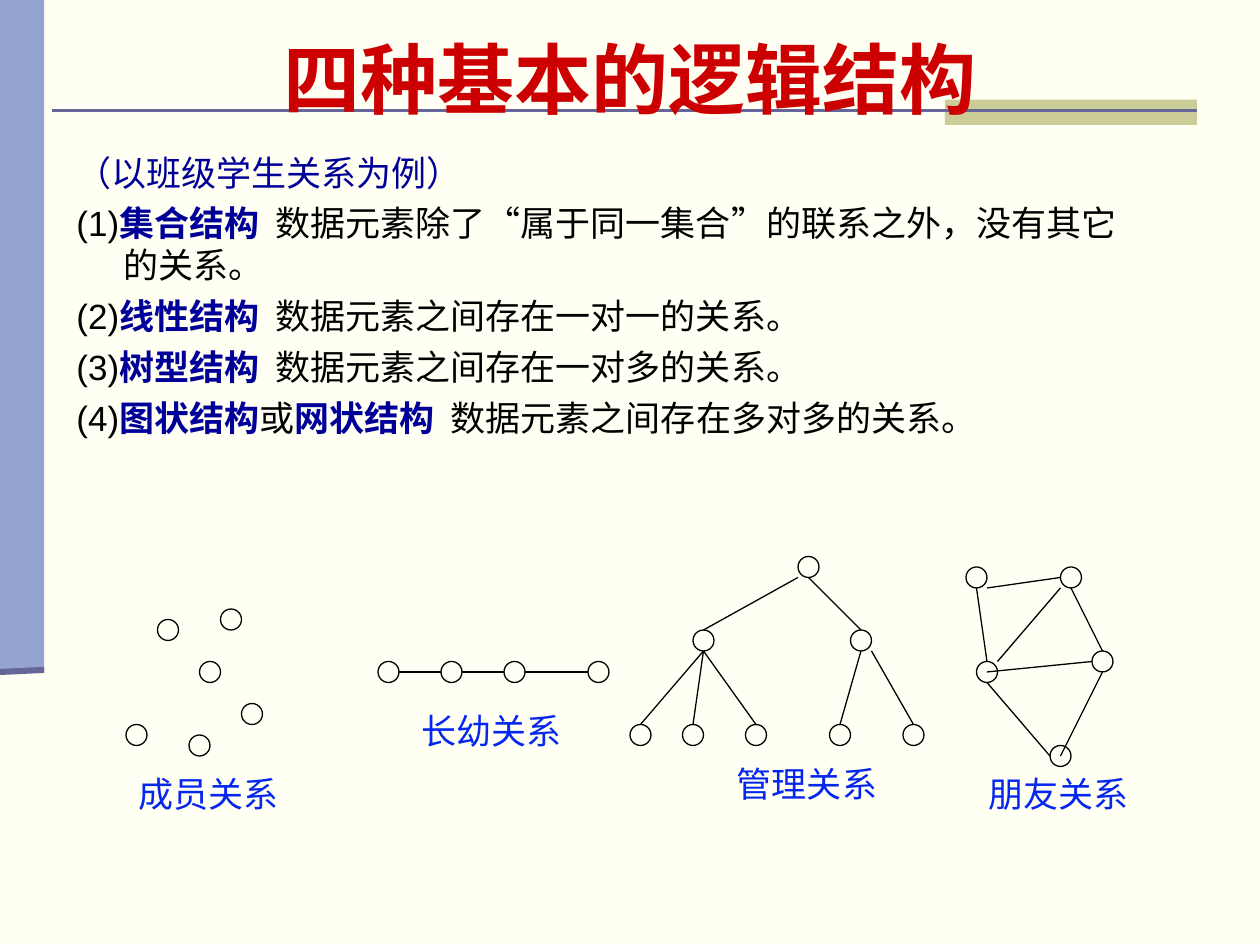
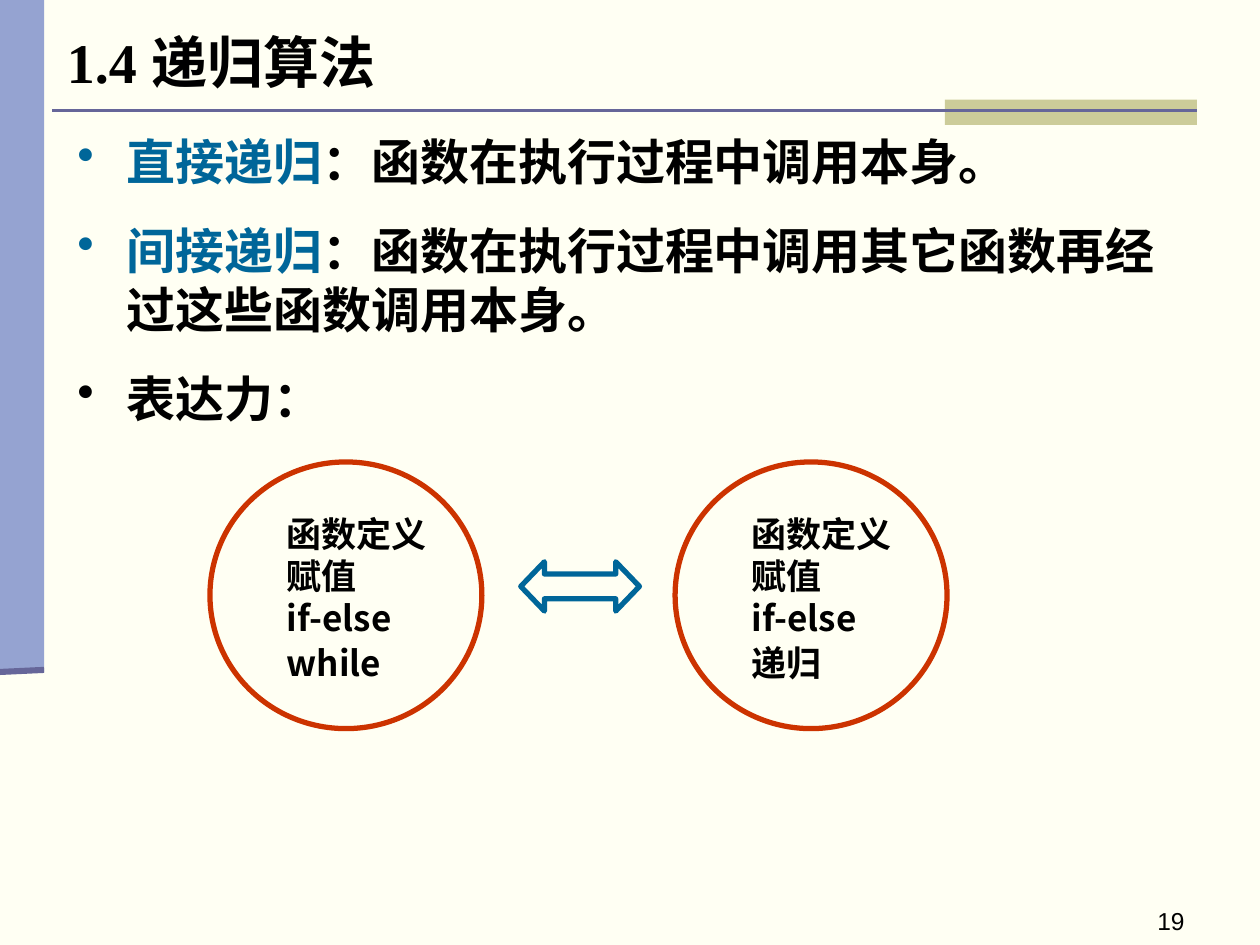
from dataclasses import dataclass

from lxml import etree
from pptx import Presentation
from pptx import util as u
from pptx.dml.color import RGBColor
from pptx.enum import shapes, text
from pptx.oxml.ns import qn

PX = 7620  # 120 px to the inch


@dataclass(frozen=True)
class Theme:
    paper: str = "FFFFF3"
    band: str = "95A3D1"
    rule: str = "666699"
    tab: str = "CCCC99"
    ink: str = "000000"
    red: str = "CC0000"
    navy: str = "000099"
    blue: str = "0526EF"
    teal: str = "006699"
    rust: str = "CC3300"
    sans: str = "Arial"
    serif: str = "Times New Roman"
    asian: str = "Noto Sans CJK SC"
    small: int = 14
    base: int = 20
    large: int = 28
    head: int = 32
    huge: int = 44


T = Theme()

# Spots on a node, measured from its top left corner
NODE = 20
TOP, LEFT, BASE, MID = (10, 0), (0, 10), (10, 20), (10, 10)
NE, SE, SW = (20, 0), (20, 20), (0, 20)


def rgb(code):
    return RGBColor.from_string(code)


def shape(slide, kind, box, fill=None, line=None, width=0.75):
    item = slide.shapes.add_shape(kind, *(n * PX for n in box))
    item.shadow.inherit = False
    if fill:
        item.fill.solid()
        item.fill.fore_color.rgb = rgb(fill)
    else:
        item.fill.background()
    if line:
        item.line.color.rgb = rgb(line)
        item.line.width = u.Pt(width)
    else:
        item.line.fill.background()
    return item


def line(slide, start, end, color=T.ink, width=0.75):
    item = slide.shapes.add_connector(
        shapes.MSO_CONNECTOR.STRAIGHT, *(n * PX for n in (*start, *end)))
    item.line.color.rgb = rgb(color)
    item.line.width = u.Pt(width)
    etree.SubElement(item._element.spPr, qn("a:effectLst"))


def bullet(props, color):
    tint = etree.SubElement(props, qn("a:buClr"))
    etree.SubElement(tint, qn("a:srgbClr"), val=color)
    etree.SubElement(props, qn("a:buChar"), char="•")


def write(slide, box, paras, size=T.base, face=T.sans, color=T.ink, bold=False,
          gap=0, hang=0, dots=(), lead=None, align=text.PP_ALIGN.LEFT,
          anchor=text.MSO_ANCHOR.TOP):
    """Add a text box; a paragraph is a list of strings or (string, colour, bold).

    gap is the space between paragraphs, dots the bullet colours,
    and lead the line height of the last paragraph, all in points.
    """
    frame = slide.shapes.add_textbox(*(n * PX for n in box)).text_frame
    frame.word_wrap = True
    frame.vertical_anchor = anchor
    for i, parts in enumerate(paras):
        para = frame.add_paragraph() if i else frame.paragraphs[0]
        para.alignment = align
        props = para._p.get_or_add_pPr()
        if hang:
            props.set("marL", str(hang * PX))
            props.set("indent", str(-hang * PX))
        if dots:
            bullet(props, dots[i])
        if i and gap:
            para.space_before = u.Pt(gap)
        if lead and i == len(paras) - 1:
            para.line_spacing = u.Pt(lead)
        font = para.font
        font.size, font.name, font.bold = u.Pt(size), face, bold
        font.color.rgb = rgb(color)
        etree.SubElement(props.find(qn("a:defRPr")), qn("a:ea"), typeface=T.asian)
        for part in parts:
            run = para.add_run()
            if isinstance(part, str):
                run.text = part
            else:
                run.text, tint, run.font.bold = part
                run.font.color.rgb = rgb(tint)


def page(deck):
    """Add a blank slide with the shared band, rule and tab."""
    slide = deck.slides.add_slide(deck.slide_layouts[6])
    slide.background.fill.solid()
    slide.background.fill.fore_color.rgb = rgb(T.paper)
    rect = shapes.MSO_SHAPE.RECTANGLE
    shape(slide, rect, (0, 0, 42, 640), T.band)
    shape(slide, rect, (900, 95, 240, 24), T.tab)
    line(slide, (50, 105), (1140, 105), T.rule, 1.5)
    line(slide, (0, 640), (42, 638), T.rule, 3.5)
    return slide


def graph(slide, nodes, links=()):
    """Draw nodes, then links given as (node, spot, node, spot)."""
    for x, y in nodes:
        shape(slide, shapes.MSO_SHAPE.OVAL, (x, y, NODE, NODE), line=T.ink)
    for a, out, b, into in links:
        start, end = ([p + q for p, q in zip(nodes[n], spot)]
                      for n, spot in ((a, out), (b, into)))
        line(slide, start, end)


def logic(deck):
    slide = page(deck)

    def term(name):
        return name, T.navy, True

    write(slide, (61, 138, 1040, 630), [
        [("（以班级学生关系为例）", T.navy, False)],
        ["(1)", term("集合结构"), "  数据元素除了“属于同一集合”的联系之外，没有其它的关系。"],
        ["(2)", term("线性结构"), "  数据元素之间存在一对一的关系。"],
        ["(3)", term("树型结构"), "  数据元素之间存在一对多的关系。"],
        ["(4)", term("图状结构"), "或", term("网状结构"), "  数据元素之间存在多对多的关系。"],
    ], gap=5, hang=45)

    graph(slide, [(210, 580), (150, 590), (190, 630),
                  (120, 690), (180, 700), (230, 670)])

    chain = [(x, 630) for x in (360, 420, 480, 560)]
    graph(slide, chain, [(i, (NODE, 10), i + 1, LEFT) for i in range(3)])

    leaves = [(x, 690) for x in (600, 650, 710, 790, 860)]
    tree = [(760, 530), (660, 600), (810, 600)] + leaves
    graph(slide, tree, [(0, SW, 1, TOP), (0, BASE, 2, TOP)]
          + [(1, BASE, leaf, TOP) for leaf in (3, 4, 5)]
          + [(2, BASE, 6, TOP), (2, SE, 7, TOP)])

    friends = [(920, 540), (1010, 540), (930, 630), (1040, 620), (1000, 710)]
    graph(slide, friends, [
        (0, BASE, 2, TOP), (0, SE, 1, LEFT), (1, BASE, 3, TOP),
        (3, BASE, 4, MID), (2, BASE, 4, LEFT), (2, MID, 3, LEFT),
        (1, SW, 2, NE)])

    for x, y, wide, name in ((120, 730, 160, "成员关系"), (390, 670, 180, "长幼关系"),
                             (690, 720, 220, "管理关系"), (930, 730, 180, "朋友关系")):
        write(slide, (x, y, wide, 53), [[name]], face=T.serif, color=T.blue)

    write(slide, (90, 34, 1020, 90), [["四种基本的逻辑结构"]], T.huge, T.serif,
          T.red, True, align=text.PP_ALIGN.CENTER, anchor=text.MSO_ANCHOR.BOTTOM)


def recur(deck):
    slide = page(deck)
    write(slide, (890, 857, 250, 30), [["19"]], T.small,
          align=text.PP_ALIGN.RIGHT)
    write(slide, (52, 20, 1087, 80), [["1.4 递归算法"]], T.head, T.serif, bold=True)
    write(slide, (62, 119, 1076, 295), [
        [("直接递归", T.teal, True), "：函数在执行过程中调用本身。"],
        [("间接递归", T.teal, True), "：函数在执行过程中调用其它函数再经过这些函数调用本身。"],
        ["表达力："],
    ], T.large, T.serif, bold=True, gap=17.5, hang=47,
        dots=(T.teal, T.teal, T.ink))

    for x, last in ((200, "while"), (643, "递归")):
        shape(slide, shapes.MSO_SHAPE.OVAL, (x, 440, 259, 254),
              line=T.rust, width=3)
        write(slide, (x + 61, 482, 161, 178),
              [["函数定义"], ["赋值"], ["if-else"], [last]],
              face=T.asian, bold=True, lead=26)

    arrow = shape(slide, shapes.MSO_SHAPE.LEFT_RIGHT_ARROW, (496, 535, 113, 47),
                  line=T.teal, width=3)
    arrow.adjustments[0], arrow.adjustments[1] = 0.5, 0.48


def main():
    deck = Presentation()
    deck.slide_width, deck.slide_height = 1200 * PX, 900 * PX
    logic(deck)
    recur(deck)
    deck.save("out.pptx")


if __name__ == "__main__":
    main()
